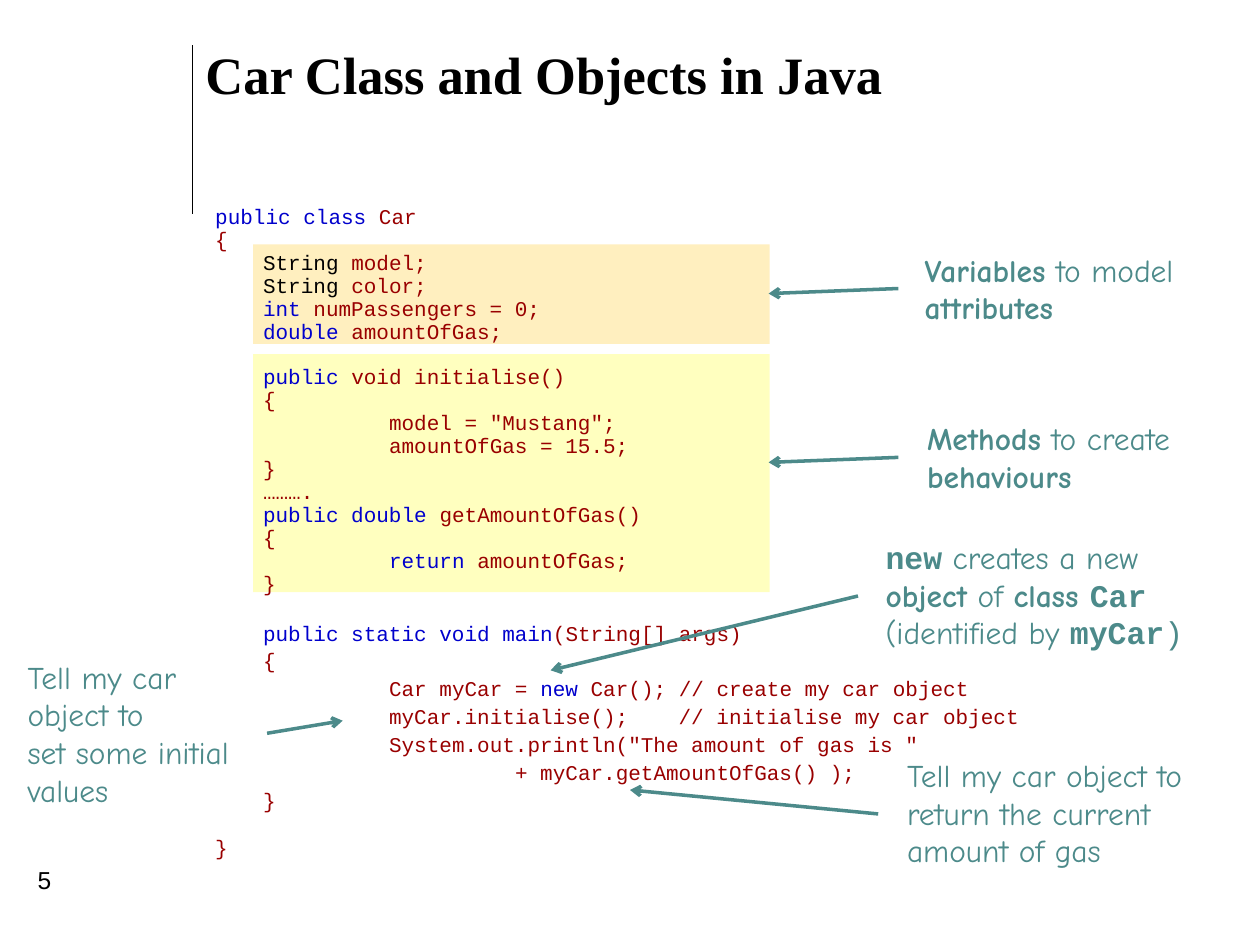
from lxml import etree
from pptx import Presentation
from pptx.dml.color import RGBColor
from pptx.enum.shapes import MSO_CONNECTOR, MSO_SHAPE
from pptx.enum.text import MSO_ANCHOR, MSO_AUTO_SIZE, PP_ALIGN
from pptx.oxml.ns import qn
from pptx.util import Inches, Pt

COLORS = {
    "black": "000000",
    "keyword": "0000CC",
    "code": "990000",
    "teal": "4C8A8A",
    "fields": "FFC000",
    "methods": "FFFF00",
}
# Each style is a font, a size, a colour and a weight.
STYLES = {
    "title": ("Times New Roman", 30, "black", True),
    "number": ("Arial", 14, "black", False),
    "code": ("Courier New", 12, "code", False),
    "keyword": ("Courier New", 12, "keyword", False),
    "type": ("Courier New", 12, "black", False),
    "note": ("Comic Neue", 18, "teal", False),
    "strong": ("Comic Neue", 18, "teal", True),
    "term": ("Courier New", 18, "teal", True),
    "symbol": ("Courier New", 18, "teal", False),
}


def write_text(frame, lines, style, wrap=True, anchor=MSO_ANCHOR.TOP, grow=False):
    """Write lines of runs; a run is a string, or a (string, style) pair."""
    frame.word_wrap = wrap
    frame.vertical_anchor = anchor
    frame.auto_size = MSO_AUTO_SIZE.SHAPE_TO_FIT_TEXT if grow else MSO_AUTO_SIZE.NONE
    for index, line in enumerate(lines):
        paragraph = frame.paragraphs[0] if index == 0 else frame.add_paragraph()
        paragraph.alignment = PP_ALIGN.LEFT
        for part in line:
            text, name = (part, style) if isinstance(part, str) else part
            font_name, size, color, bold = STYLES[name]
            run = paragraph.add_run()
            run.text = text
            run.font.name = font_name
            run.font.size = Pt(size)
            run.font.bold = bold
            run.font.color.rgb = RGBColor.from_string(COLORS[color])


def add_line(start, end, color, width, arrow=False):
    points = [Inches(value) for value in (*start, *end)]
    line = slide.shapes.add_connector(MSO_CONNECTOR.STRAIGHT, *points)
    line.line.color.rgb = RGBColor.from_string(COLORS[color])
    line.line.width = Pt(width)
    if arrow:
        etree.SubElement(line.line._get_or_add_ln(), qn("a:tailEnd"), type="arrow")
    etree.SubElement(line._element.spPr, qn("a:effectLst"))


presentation = Presentation()
presentation.slide_width = Inches(10)
presentation.slide_height = Inches(7.5)
slide = presentation.slides.add_slide(presentation.slide_layouts[5])

add_line((1.53, 0.36), (1.53, 1.7), "black", 0.75)

# Tinted panels behind the two parts of the class
for color, top, height in [("methods", 2.81, 1.89), ("fields", 1.94, 0.79)]:
    panel = slide.shapes.add_shape(
        MSO_SHAPE.RECTANGLE, Inches(2.01), Inches(top), Inches(4.1), Inches(height))
    panel.shadow.inherit = False
    panel.fill.solid()
    panel.fill.fore_color.rgb = RGBColor.from_string(COLORS[color])
    tint = panel._element.spPr.find(".//" + qn("a:srgbClr"))
    etree.SubElement(tint, qn("a:alpha"), val="25000")
    panel.line.fill.background()

number = slide.shapes.add_textbox(Inches(0.2), Inches(6.82), Inches(1.42), Inches(0.5))
write_text(number.text_frame, [["5"]], "number")

title = slide.shapes.title
title.left, title.top = Inches(1.53), Inches(0.28)
title.width, title.height = Inches(7.57), Inches(0.61)
write_text(title.text_frame, [["Car Class and Objects in Java"]], "title",
           anchor=MSO_ANCHOR.MIDDLE)

# Blocks of code: line spacing, then lines
code_blocks = [
    (0.7, [
        [("public class", "keyword"), " Car"],
        ["{"],
        ["\t", ("String", "type"), " model;"],
        ["\t", ("String", "type"), " color;"],
        ["\t", ("int", "keyword"), " numPassengers = 0;"],
        ["\t", ("double", "keyword"), " amountOfGas;"],
    ]),
    (0.7, [
        ["\t", ("public", "keyword"), " void initialise()"],
        ["\t{"],
        ["\t\tmodel = \"Mustang\";"],
        ["\t\tamountOfGas = 15.5;"],
        ["\t}"],
        ["\t………."],
        ["\t", ("public double", "keyword"), " getAmountOfGas()"],
        ["\t{"],
        ["\t\t", ("return", "keyword"), " amountOfGas;"],
        ["\t}"],
    ]),
    (0.9, [
        ["\t", ("public static void main", "keyword"), "(String[] args)"],
        ["\t{"],
        ["\t\tCar myCar = ", ("new", "keyword"), " Car(); // create my car object"],
        ["\t\tmyCar.initialise();    // initialise my car object"],
        ["\t\tSystem.out.println(\"The amount of gas is \""],
        ["\t\t\t+ myCar.getAmountOfGas() );"],
        ["\t}"],
    ]),
    (0.7, [["}"]]),
]
code = slide.shapes.add_textbox(Inches(1.61), Inches(1.62), Inches(8.03), Inches(5.28))
write_text(code.text_frame, [line for _, lines in code_blocks for line in lines], "code")

paragraphs = iter(code.text_frame.paragraphs)
for block, (spacing, lines) in enumerate(code_blocks):
    for row in range(len(lines)):
        paragraph = next(paragraphs)
        properties = paragraph._p.get_or_add_pPr()
        properties.set("marL", str(Inches(0.38)))
        properties.set("indent", str(Inches(-0.38)))
        properties.set("defTabSz", str(Inches(1)))
        paragraph.line_spacing = spacing
        if row > 0:
            paragraph.space_before = Pt(3)
        else:
            paragraph.space_before = Pt(16.1 if block > 0 else 0)

# Notes: place, wrapping, lines, and the arrow from the note to the code
notes = [
    ((7.24, 1.94, 2.19, 0.7), False,
     [[("Variables", "strong"), " to model"], [("attributes", "strong")]],
     (7.13, 2.29), (6.1, 2.33)),
    ((7.26, 3.28, 2.23, 0.7), False,
     [[("Methods", "strong"), " to create"], [("behaviours", "strong")]],
     (7.13, 3.63), (6.1, 3.67)),
    ((7.1, 5.95, 2.41, 1), False,
     [["Tell my car object to"], ["return the current"], ["amount of gas"]],
     (6.97, 6.46), (5, 6.27)),
    ((6.93, 4.22, 2.56, 1), False,
     [[("new", "term"), " creates a new"],
      [("object", "strong"), " of ", ("class ", "strong"), ("Car", "term")],
      ["(identified by ", ("myCar", "term"), (")", "symbol")]],
     (6.81, 4.73), (4.37, 5.32)),
    ((0.12, 5.17, 2.01, 1.3), True,
     [["Tell my car object to"], ["set some initial values"]],
     (2.12, 5.82), (2.72, 5.72)),
]
for place, wrap, lines, start, end in notes:
    note = slide.shapes.add_textbox(*[Inches(value) for value in place])
    write_text(note.text_frame, lines, "note", wrap=wrap, grow=True)
    add_line(start, end, "teal", 2, arrow=True)

presentation.save("out.pptx")
